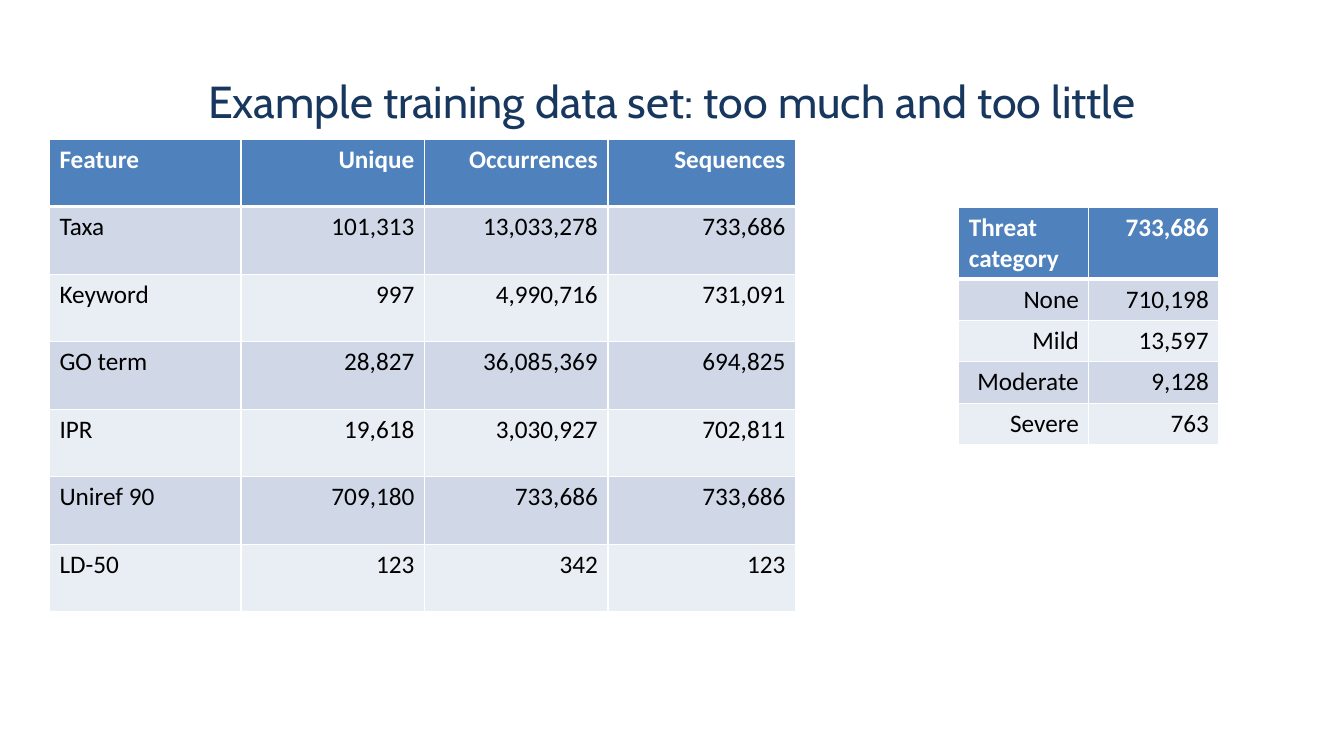
from lxml import etree
from pptx import Presentation
from pptx.dml.color import RGBColor
from pptx.enum.text import MSO_ANCHOR, MSO_AUTO_SIZE, PP_ALIGN as Align
from pptx.oxml.ns import qn
from pptx.util import Inches, Pt

NAVY = RGBColor(0x17, 0x37, 0x5E)
BLUE = RGBColor(0x4F, 0x81, 0xBD)
BAND_DARK = RGBColor(0xD0, 0xD8, 0xE8)
BAND_LIGHT = RGBColor(0xE9, 0xED, 0xF4)
WHITE = RGBColor(0xFF, 0xFF, 0xFF)
BLACK = RGBColor(0, 0, 0)

FEATURES = [
    ("Feature", "Unique", "Occurrences", "Sequences"),
    ("Taxa", "101,313", "13,033,278", "733,686"),
    ("Keyword", "997", "4,990,716", "731,091"),
    ("GO term", "28,827", "36,085,369", "694,825"),
    ("IPR", "19,618", "3,030,927", "702,811"),
    ("Uniref 90", "709,180", "733,686", "733,686"),
    ("LD-50", "123", "342", "123"),
]
THREATS = [
    ("Threat\vcategory", "733,686"),
    ("None", "710,198"),
    ("Mild", "13,597"),
    ("Moderate", "9,128"),
    ("Severe", "763"),
]


class SlideBuilder:
    title_font = "Cabin"
    table_font = "Calibri"

    def __init__(self, prs):
        self.s = prs.slides.add_slide(prs.slide_layouts[5])

    def title(self, text, left, top, width, height):
        sp = self.s.shapes.title
        sp.left, sp.top = Inches(left), Inches(top)
        sp.width, sp.height = Inches(width), Inches(height)
        tf = sp.text_frame
        tf.word_wrap = True
        tf.auto_size = MSO_AUTO_SIZE.NONE
        tf.vertical_anchor = MSO_ANCHOR.TOP
        tf.text = text
        p = tf.paragraphs[0]
        p.alignment = Align.CENTER
        p.font.name, p.font.size = self.title_font, Pt(32)
        p.font.color.rgb = NAVY

    def table(self, rows, left, top, col_widths, row_height, label_align):
        frame = self.s.shapes.add_table(
            len(rows), len(col_widths), Inches(left), Inches(top),
            Inches(sum(col_widths)), Inches(row_height * len(rows)))
        table = frame.table
        for column, width in zip(table.columns, col_widths):
            column.width = Inches(width)
        for i, row in enumerate(rows):
            for j, text in enumerate(row):
                align = Align.RIGHT if j else Align.LEFT
                if i and not j:
                    align = label_align
                self.cell(table.cell(i, j), text, i, align)

    def cell(self, cell, text, row, align):
        header = row == 0
        cell.text = text
        p = cell.text_frame.paragraphs[0]
        p.alignment = align
        p.font.name, p.font.size = self.table_font, Pt(18)
        p.font.bold = header
        p.font.color.rgb = WHITE if header else BLACK
        cell.fill.solid()
        cell.fill.fore_color.rgb = (
            BLUE if header else BAND_DARK if row % 2 else BAND_LIGHT)
        # The rule below the header is thicker than the grid
        self.borders(cell, top=3 if row == 1 else 1, bottom=3 if header else 1)

    def borders(self, cell, top, bottom):
        tc_pr = cell._tc.get_or_add_tcPr()
        sides = (("a:lnL", 1), ("a:lnR", 1), ("a:lnT", top), ("a:lnB", bottom))
        for i, (tag, width) in enumerate(sides):
            ln = etree.Element(qn(tag), w=str(Pt(width)))
            fill = etree.SubElement(ln, qn("a:solidFill"))
            etree.SubElement(fill, qn("a:srgbClr"), val=str(WHITE))
            tc_pr.insert(i, ln)


def main():
    prs = Presentation()
    prs.slide_width, prs.slide_height = Inches(13.33), Inches(7.5)
    slide = SlideBuilder(prs)

    # Title
    slide.title("Example training data set: too much and too little",
                0, 0.68, 13.33, 0.5)

    # Feature counts
    slide.table(FEATURES, 0.49, 1.38, (1.9, 1.82, 1.82, 1.86), 0.67, Align.LEFT)

    # Sequences per threat category
    slide.table(THREATS, 9.51, 2.06, (1.29, 1.29), 0.41, Align.RIGHT)

    prs.save("out.pptx")


if __name__ == "__main__":
    main()
